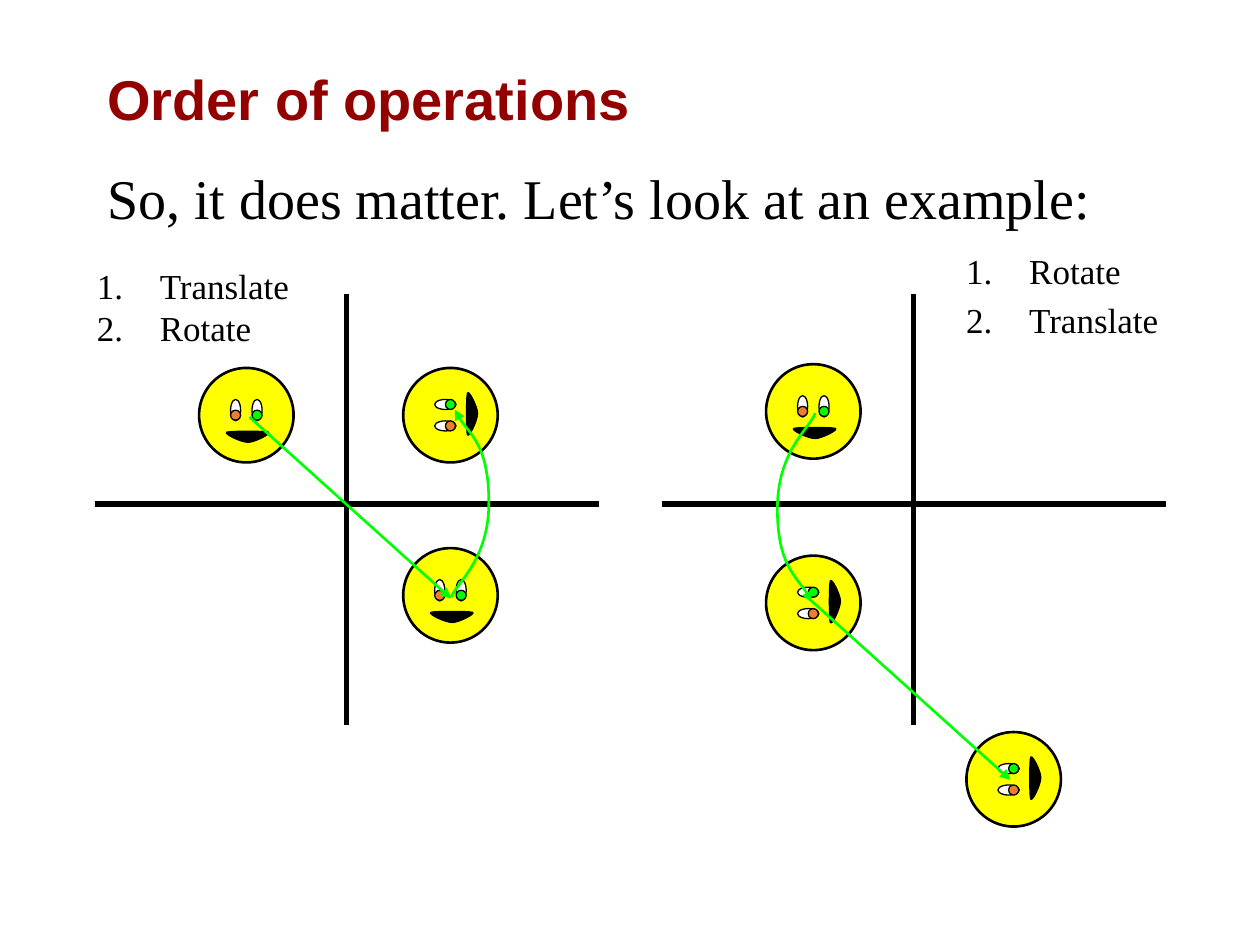
from dataclasses import dataclass
from typing import Optional

from pptx import Presentation
from pptx.dml.color import RGBColor
from pptx.enum.shapes import MSO_CONNECTOR as Connector, MSO_SHAPE as Shape
from pptx.enum.text import MSO_ANCHOR as Anchor, MSO_AUTO_SIZE as AutoSize, PP_ALIGN as Align
from pptx.oxml.ns import qn
from pptx.util import Inches, Pt

BLACK, WHITE, YELLOW = "000000", "FFFFFF", "FFFF00"
ORANGE, GREEN, DARK_RED = "ED7D31", "00FF00", "920000"
SERIF = "Times New Roman"
TITLE_FONT = dict(name="Arial", size=Pt(32), bold=True)
BODY_FONT = dict(name=SERIF, size=Pt(32), bold=False)
STEP_FONT = dict(name=SERIF, size=Pt(20), bold=False)

# Face features, measured from the face's top left corner
FACE_SIZE = 0.75
EYE_WIDTH, EYE_HEIGHT, EYE_TOP = 0.08, 0.17, 0.25
LEFT_EYE, RIGHT_EYE = 0.25, 0.42
MOUTH = [(0.22, 0.51), (0.19, 0.52), (0.33, 0.59), (0.39, 0.59), (0.44, 0.59),
         (0.58, 0.52), (0.55, 0.51), (0.52, 0.5), (0.25, 0.5), (0.22, 0.51)]

Point = tuple[float, float]


@dataclass
class Face:
    left: float
    top: float
    rotation: int = 0


@dataclass
class Steps:
    left: float
    top: float
    width: float
    height: float
    names: list[str]
    gap: float


def rgb(value: str) -> RGBColor:
    return RGBColor.from_string(value)


def style_font(paragraph, values: dict, color: str) -> None:
    for key, value in values.items():
        setattr(paragraph.font, key, value)
    paragraph.font.color.rgb = rgb(color)


def style_line(line, color: str, width: float, arrow: bool = False) -> None:
    line.color.rgb = rgb(color)
    line.width = Pt(width)
    if arrow:
        end = line._get_or_add_ln().makeelement(qn("a:tailEnd"), {"type": "triangle"})
        line._get_or_add_ln().append(end)


def style_shape(shape, fill: Optional[str], line: str, width: float, arrow: bool = False) -> None:
    shape.shadow.inherit = False
    if fill:
        shape.fill.solid()
        shape.fill.fore_color.rgb = rgb(fill)
    else:
        shape.fill.background()
    style_line(shape.line, line, width, arrow)


def add_oval(shapes, left: float, top: float, width: float, height: float,
             fill: str, line_width: float = 0.75) -> None:
    oval = shapes.add_shape(Shape.OVAL, Inches(left), Inches(top), Inches(width), Inches(height))
    style_shape(oval, fill, BLACK, line_width)


def add_curve(shapes, points: list[Point], closed: bool):
    """Draw cubic curves: a start, then two control points and an end for each."""
    start, *others = [(Inches(x), Inches(y)) for x, y in points]
    builder = shapes.build_freeform(*start)
    builder.add_line_segments(others, close=closed)
    curve = builder.convert_to_shape()
    path = curve.element.find(".//" + qn("a:path"))
    segments = path.findall(qn("a:lnTo"))
    for first in range(0, len(others), 3):
        bezier = path.makeelement(qn("a:cubicBezTo"), {})
        segments[first].addprevious(bezier)
        for segment in segments[first:first + 3]:
            bezier.append(segment[0])
            path.remove(segment)
    return curve


def add_face(shapes, face: Face) -> None:
    group = shapes.add_group_shape()
    parts, x, y = group.shapes, face.left, face.top
    add_oval(parts, x, y, FACE_SIZE, FACE_SIZE, YELLOW, 1.5)
    mouth = add_curve(parts, [(x + dx, y + dy) for dx, dy in MOUTH], closed=True)
    style_shape(mouth, BLACK, BLACK, 0.75)
    for eye, pupil in ((LEFT_EYE, ORANGE), (RIGHT_EYE, GREEN)):
        add_oval(parts, x + eye, y + EYE_TOP, EYE_WIDTH, EYE_HEIGHT, WHITE)
        add_oval(parts, x + eye, y + EYE_TOP + EYE_HEIGHT / 2, EYE_WIDTH, EYE_WIDTH, pupil)
    group.rotation = face.rotation


def add_straight(shapes, start: Point, end: Point, color: str, width: float,
                 arrow: bool = False) -> None:
    line = shapes.add_connector(Connector.STRAIGHT, *map(Inches, start + end))
    style_line(line.line, color, width, arrow)
    properties = line.element.spPr
    properties.append(properties.makeelement(qn("a:effectLst"), {}))


def add_axes(shapes, center: float) -> None:
    add_straight(shapes, (center, 2.33), (center, 5.75), BLACK, 3)
    add_straight(shapes, (center - 2, 4), (center + 2, 4), BLACK, 3)


def add_turn(shapes, points: list[Point]) -> None:
    style_shape(add_curve(shapes, points, closed=False), None, GREEN, 1.5, arrow=True)


def add_move(shapes, start: Point, end: Point) -> None:
    add_straight(shapes, start, end, GREEN, 1.5, arrow=True)


def add_steps(shapes, steps: Steps) -> None:
    box = shapes.add_textbox(*map(Inches, (steps.left, steps.top, steps.width, steps.height)))
    frame = box.text_frame
    frame.word_wrap = False
    frame.auto_size = AutoSize.SHAPE_TO_FIT_TEXT
    for index, name in enumerate(steps.names):
        paragraph = frame.paragraphs[0] if index == 0 else frame.add_paragraph()
        paragraph.text = name
        paragraph.alignment = Align.LEFT
        paragraph.space_before = Pt(steps.gap if index else 0)
        properties = paragraph._p.get_or_add_pPr()
        properties.set("marL", str(Inches(0.5)))
        properties.set("indent", str(-Inches(0.5)))
        properties.append(properties.makeelement(qn("a:buAutoNum"), {"type": "arabicPeriod"}))
        style_font(paragraph, STEP_FONT, BLACK)


def fill_placeholder(holder, box: tuple, text: str, font: dict, color: str, anchor,
                     line_spacing: float = 1.0) -> None:
    for side, value in zip(("left", "top", "width", "height"), box):
        setattr(holder, side, Inches(value))
    frame = holder.text_frame
    frame.text = text
    frame.word_wrap = True
    frame.auto_size = AutoSize.NONE
    frame.vertical_anchor = anchor
    paragraph = frame.paragraphs[0]
    paragraph.alignment = Align.LEFT
    paragraph.line_spacing = line_spacing
    paragraph.space_before = Pt(0)
    properties = paragraph._p.get_or_add_pPr()
    properties.set("marL", "0")
    properties.set("indent", "0")
    properties.append(properties.makeelement(qn("a:buNone"), {}))
    style_font(paragraph, font, color)


def main() -> None:
    deck = Presentation()
    deck.slide_width, deck.slide_height = Inches(10), Inches(7.5)
    slide = deck.slides.add_slide(deck.slide_layouts[1])
    shapes = slide.shapes

    # Heading and lead sentence
    fill_placeholder(shapes.title, (0.75, 0.44, 8.5, 0.75), "Order of operations",
                     TITLE_FONT, DARK_RED, Anchor.MIDDLE, line_spacing=0.9)
    fill_placeholder(slide.placeholders[1], (0.75, 1.25, 8.5, 0.5),
                     "So, it does matter. Let’s look at an example:",
                     BODY_FONT, BLACK, Anchor.TOP)

    # Left: translate, then rotate
    add_face(shapes, Face(1.58, 2.92))
    add_axes(shapes, 2.75)
    add_face(shapes, Face(3.2, 4.35))
    add_move(shapes, (1.98, 3.31), (3.58, 4.75))
    add_face(shapes, Face(3.2, 2.92, 270))
    add_turn(shapes, [(3.58, 4.74), (3.63, 4.62), (3.88, 4.44), (3.88, 3.99),
                      (3.88, 3.53), (3.67, 3.4), (3.61, 3.25)])

    # Right: rotate, then translate
    add_axes(shapes, 7.25)
    for face in (Face(6.08, 2.89), Face(6.08, 4.41, 270), Face(7.67, 5.81, 270)):
        add_face(shapes, face)
    add_turn(shapes, [(6.47, 3.28), (6.42, 3.41), (6.17, 3.58), (6.17, 4.04),
                      (6.17, 4.49), (6.38, 4.62), (6.44, 4.78)])
    add_move(shapes, (6.42, 4.75), (8.02, 6.19))

    # Step lists
    add_steps(shapes, Steps(0.67, 2.05, 1.84, 0.77, ["Translate", "Rotate"], 0))
    add_steps(shapes, Steps(7.57, 1.93, 1.93, 0.83, ["Rotate", "Translate"], 4))
    deck.save("out.pptx")


if __name__ == "__main__":
    main()
